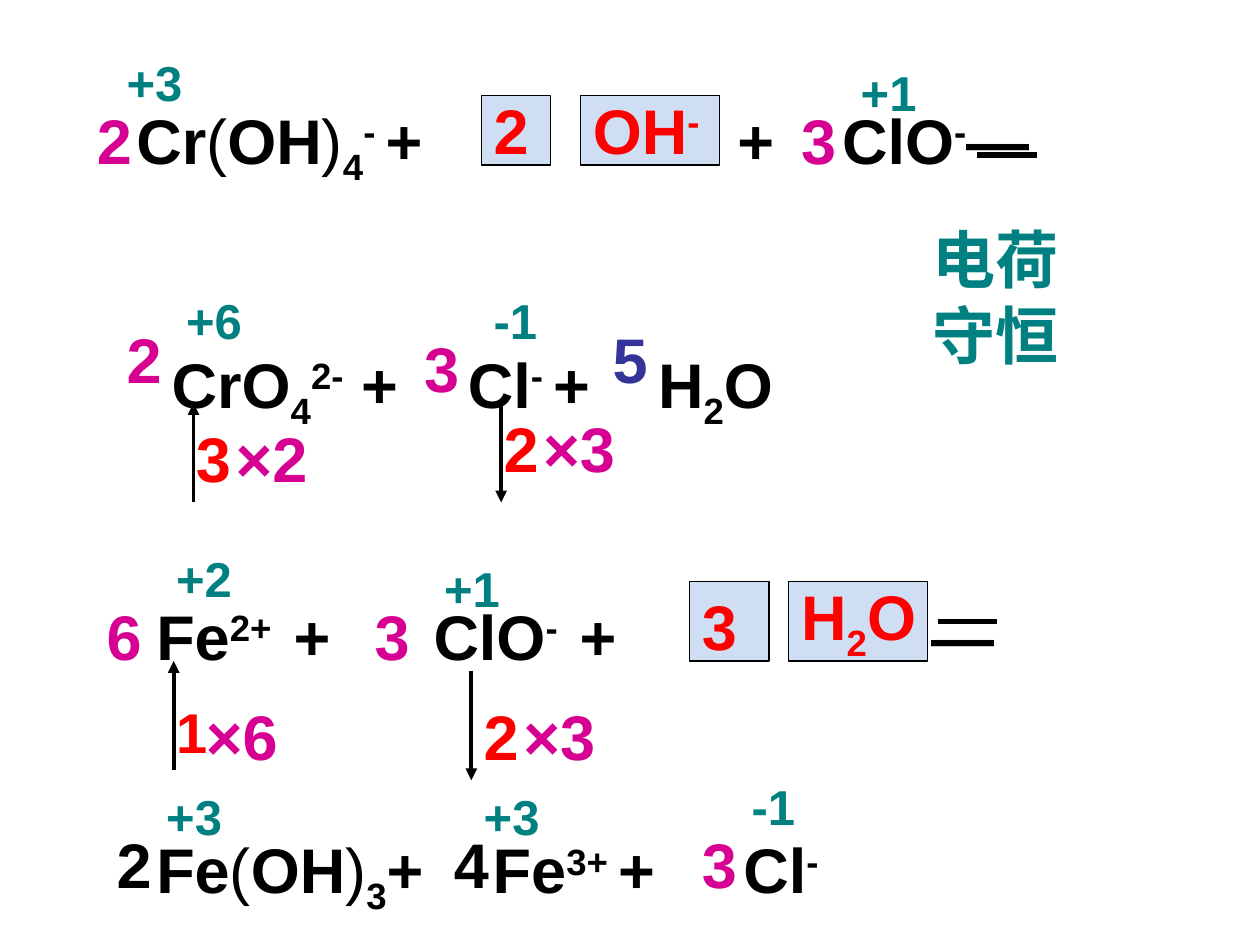
from lxml import etree
from pptx import Presentation
from pptx.dml.color import RGBColor
from pptx.enum.shapes import MSO_CONNECTOR, MSO_SHAPE
from pptx.enum.text import MSO_AUTO_SIZE
from pptx.oxml.ns import qn
from pptx.util import Inches, Pt

RECTANGLE = MSO_SHAPE.RECTANGLE
STRAIGHT = MSO_CONNECTOR.STRAIGHT
GROW = MSO_AUTO_SIZE.SHAPE_TO_FIT_TEXT

COLORS = {"ink": "000000", "teal": "008080", "red": "FF0000",
          "magenta": "D60093", "blue": "333399", "panel": "CFDEF3"}
LATIN, CHINESE = "Arial", "Noto Sans CJK JP"
CELL = 10 / 127
LEFT_EDGE, TOP_EDGE = 0.04, 0.05
LINE_GAP = 90
BASELINES = {"sub": "-25000", "sup": "30000"}

EQUATIONS = [
    (12, 9, 108, 34, [
        ([4.77, 5.6], [("Cr", ""), ("(", "thin"), ("OH", ""), (")", "thin"), ("4", "sub"),
                       ("- ", "sup"), ("+\t+\tClO", ""), ("-", "sup"), ("—", "")]),
        ([0.28, 2.63, 4.14], [("\tCrO", ""), ("4", "sub"), ("2-", "sup"), (" +\tCl", ""),
                              ("- ", "sup"), ("+\tH", ""), ("2", "sub"), ("O", "")]),
    ]),
    (14, 59, 102, 33, [
        ([1.09, 2.2, 3.36, 6.15], [("Fe", ""), ("2+", "sup"), ("\t+\tClO", ""),
                                   ("-", "sup"), ("\t+\t—", "")]),
        ([2.67, 4.66], [("Fe", ""), ("(", "thin"), ("OH", ""), (")", "thin"), ("3", "sub"),
                        ("+\tFe", ""), ("3+ ", "sup"), ("+\tCl", ""), ("-", "sup")]),
    ]),
]

ANSWER_PANELS = [(58, 9, 14, 7), (48, 9, 7, 7), (79, 58, 14, 8), (69, 58, 8, 8)]
ELECTRON_ARROWS = [(19, 50, 40), (50, 40, 50), (17, 77, 66), (47, 67, 78)]
EQUALS_STROKES = [(98, 15), (94, 62)]
STROKE_LENGTH = 6

LABELS = [
    ("teal", 28, 7.2, [
        ("+3", 11, 4, 12), ("+1", 85, 5, 9), ("+6", 17, 28, 12), ("-1", 48, 28, 8),
        ("+2", 16, 54, 9), ("+1", 43, 55, 9), ("+3", 15, 78, 9), ("+3", 47, 78, 9),
        ("-1", 74, 77, 7)]),
    ("red", 36, 9, [
        ("3", 18, 41, 8), ("2", 49, 40, 9), ("2", 47, 69, 6), ("2", 48, 8, 7),
        ("3", 69, 58, 8)]),
    ("red", 32, 8, [("1", 16, 69, 6)]),
    ("magenta", 36, 16.5, [
        ("×3", 53, 40, 10), ("×2", 22, 41, 11), ("×6", 19, 69, 10), ("×3", 51, 69, 11)]),
    ("magenta", 36, 9, [
        ("2", 8, 9, 5), ("2", 11, 31, 5), ("3", 79, 9, 9), ("3", 41, 32, 9),
        ("6", 9, 59, 8), ("3", 36, 59, 8), ("3", 69, 82, 8)]),
    ("blue", 36, 9, [("5", 60, 31, 7)]),
    ("ink", 36, 9, [("2", 10, 82, 9), ("4", 44, 82, 8)]),
]
ANSWER_FORMULAS = [
    (58, 8, 16, 9, [("OH", ""), ("-", "sup")]),
    (79, 57, 17, 10, [("H", ""), ("2", "sub"), ("O", "")]),
]
CHARGE_CONSERVATION = ("电荷守恒", 92.2, 21, 20, 16.5)


def color(name):
    return RGBColor.from_string(COLORS[name])


def across(column):
    return Inches(LEFT_EDGE + column * CELL)


def down(row):
    return Inches(TOP_EDGE + row * CELL)


def cells(count):
    return Inches(count * CELL)


def place(column, row, width, height):
    return across(column), down(row), cells(width), cells(height)


def add_text(slide, area, lines, ink, size=36, typeface=LATIN):
    frame = slide.shapes.add_textbox(*place(*area)).text_frame
    frame.word_wrap = True
    frame.auto_size = GROW
    for index, (stops, parts) in enumerate(lines):
        paragraph = frame.add_paragraph() if index else frame.paragraphs[0]
        if stops:
            tab_list = etree.SubElement(paragraph._p.get_or_add_pPr(), qn("a:tabLst"))
            for stop in stops:
                etree.SubElement(tab_list, qn("a:tab"), pos=str(Inches(stop)), algn="l")
        if index:
            paragraph.space_before = Pt(LINE_GAP)
        for text, style in parts:
            run = paragraph.add_run()
            run.text = text
            run.font.size = Pt(size)
            run.font.name = typeface
            run.font.bold = style != "thin"
            run.font.color.rgb = color(ink)
            properties = run.font._element
            etree.SubElement(properties, qn("a:ea"), typeface=typeface)
            if style in BASELINES:
                properties.set("baseline", BASELINES[style])


def add_line(slide, start, end, weight, arrow=False):
    line = slide.shapes.add_connector(
        STRAIGHT, across(start[0]), down(start[1]), across(end[0]), down(end[1]))
    line.line.color.rgb = color("ink")
    line.line.width = Pt(weight)
    if arrow:
        etree.SubElement(line.line._get_or_add_ln(), qn("a:tailEnd"), type="triangle")
    etree.SubElement(line._element.spPr, qn("a:effectLst"))


def main():
    deck = Presentation()
    deck.slide_width, deck.slide_height = Inches(10), Inches(7.5)
    slide = deck.slides.add_slide(deck.slide_layouts[6])

    for *area, lines in EQUATIONS:
        add_text(slide, area, lines, "ink")
    for area in ANSWER_PANELS:
        panel = slide.shapes.add_shape(RECTANGLE, *place(*area))
        panel.shadow.inherit = False
        panel.fill.solid()
        panel.fill.fore_color.rgb = color("panel")
        panel.line.color.rgb = color("ink")
        panel.line.width = Pt(0.75)
    for column, start, end in ELECTRON_ARROWS:
        add_line(slide, (column, start), (column, end), 2.25, arrow=True)
    for column, row in EQUALS_STROKES:
        add_line(slide, (column, row), (column + STROKE_LENGTH, row), 3)
    for ink, size, height, labels in LABELS:
        for text, column, row, width in labels:
            add_text(slide, (column, row, width, height), [([], [(text, "")])], ink, size)
    for *area, parts in ANSWER_FORMULAS:
        add_text(slide, area, [([], parts)], "red")
    text, *area = CHARGE_CONSERVATION
    add_text(slide, area, [([], [(text, "")])], "teal", typeface=CHINESE)

    deck.save("out.pptx")


if __name__ == "__main__":
    main()
